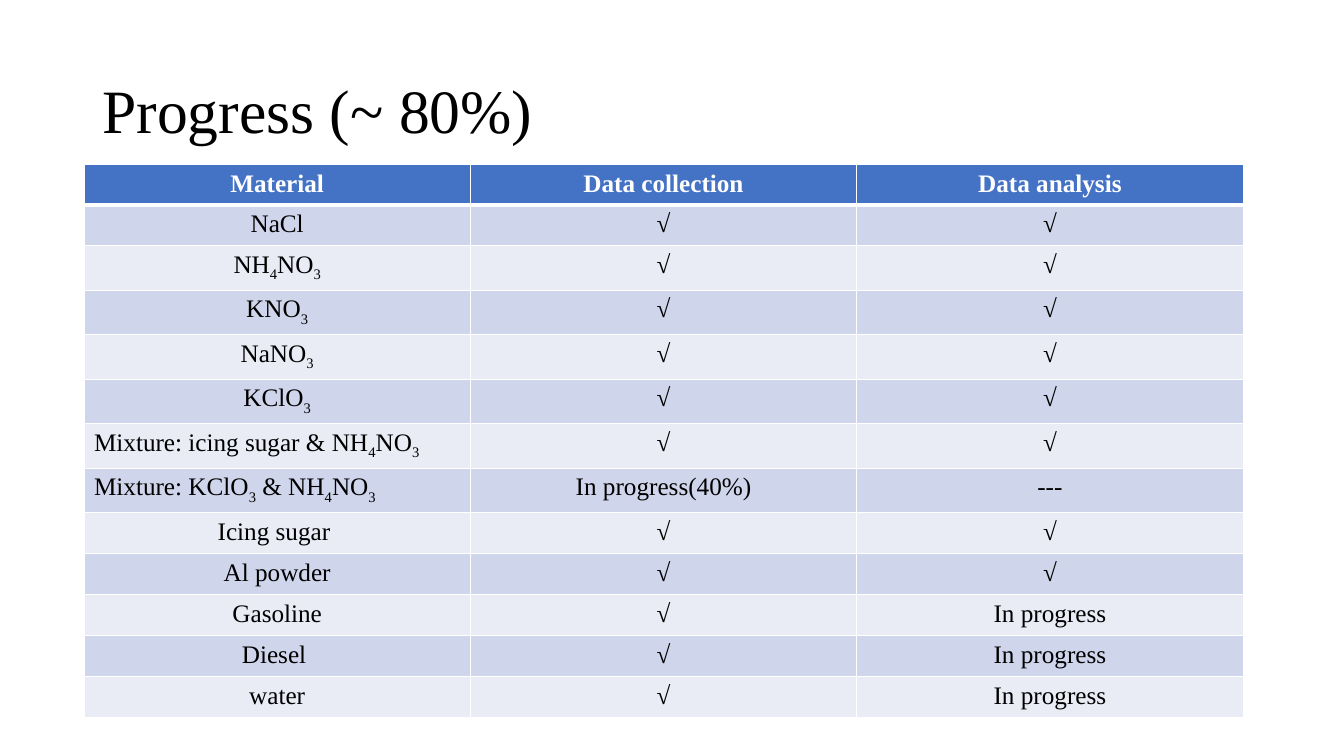
from lxml import etree
from pptx import Presentation, util as u
from pptx.dml import color
from pptx.enum import text
from pptx.oxml import ns

MATERIALS = [
    ("Material", "Data collection", "Data analysis"),
    ("NaCl", "√", "√"),
    ("NH_4NO_3", "√", "√"),
    ("KNO_3", "√", "√"),
    ("NaNO_3", "√", "√"),
    ("KClO_3", "√", "√"),
    ("Mixture: icing sugar & NH_4NO_3", "√", "√"),
    ("Mixture: KClO_3 & NH_4NO_3", "In progress(40%)", "---"),
    ("Icing sugar ", "√", "√"),
    ("Al powder", "√", "√"),
    ("Gasoline", "√", "In progress"),
    ("Diesel ", "√", "In progress"),
    ("water", "√", "In progress"),
]


def rgb(value):
    return color.RGBColor.from_string(value)


def apply(target, values):
    for name, value in values.items():
        setattr(target, name, value)


class Page:
    font = "Times New Roman"
    black, white = "000000", "FFFFFF"
    header_fill = "4472C4"
    bands = ("E9EBF5", "CFD5EA")

    def __init__(self, deck):
        self.slide = deck.slides.add_slide(deck.slide_layouts[6])

    def add_spans(self, para, content, size, ink, bold=False):
        first, *rest = content.split("_")
        pieces = [(first, False)]
        for part in rest:
            pieces += [(part[0], True), (part[1:], False)]
        for piece, subscript in pieces:
            if not piece:
                continue
            span = para.add_run()
            span.text = piece
            apply(span.font, {"name": self.font, "size": u.Pt(size), "bold": bold})
            span.font.color.rgb = rgb(ink)
            if subscript:
                span.font._element.set("baseline", "-25000")

    def title(self, content, left, top, width, height):
        box = self.slide.shapes.add_textbox(*map(u.Pt, (left, top, width, height)))
        apply(box.text_frame, {"word_wrap": True, "vertical_anchor": text.MSO_ANCHOR.MIDDLE})
        para = box.text_frame.paragraphs[0]
        para.line_spacing = 0.9
        self.add_spans(para, content, 44, self.black)

    def borders(self, cell, bottom):
        properties = cell._tc.get_or_add_tcPr()
        for side, width in {"L": 1, "R": 1, "T": 1, "B": bottom}.items():
            line = etree.SubElement(properties, ns.qn(f"a:ln{side}"), w=str(u.Pt(width)))
            fill = etree.SubElement(line, ns.qn("a:solidFill"))
            etree.SubElement(fill, ns.qn("a:srgbClr"), val=self.white)

    def table(self, rows, left, top, column_width, header_height, row_height):
        columns = len(rows[0])
        height = header_height + row_height * (len(rows) - 1)
        area = map(u.Pt, (left, top, column_width * columns, height))
        table = self.slide.shapes.add_table(len(rows), columns, *area).table
        for column in table.columns:
            column.width = u.Pt(column_width)
        for r, row in enumerate(rows):
            header = r == 0
            table.rows[r].height = u.Pt(header_height if header else row_height)
            for c, content in enumerate(row):
                cell = table.cell(r, c)
                self.borders(cell, 3 if header else 1)
                cell.fill.solid()
                cell.fill.fore_color.rgb = rgb(self.header_fill if header else self.bands[r % 2])
                para = cell.text_frame.paragraphs[0]
                mixture = content.startswith("Mixture")
                para.alignment = text.PP_ALIGN.LEFT if mixture else text.PP_ALIGN.CENTER
                bold = header or (r, c) == (1, 1)
                self.add_spans(para, content, 18, self.white if header else self.black, bold)


def main():
    deck = Presentation()
    apply(deck, {"slide_width": u.Pt(960), "slide_height": u.Pt(540)})
    page = Page(deck)
    page.title("Progress (~ 80%)", 66, 28.75, 828, 104.4)
    page.table(MATERIALS, 60, 117.5, 276, 24.5, 29.3)
    deck.save("out.pptx")


if __name__ == "__main__":
    main()
